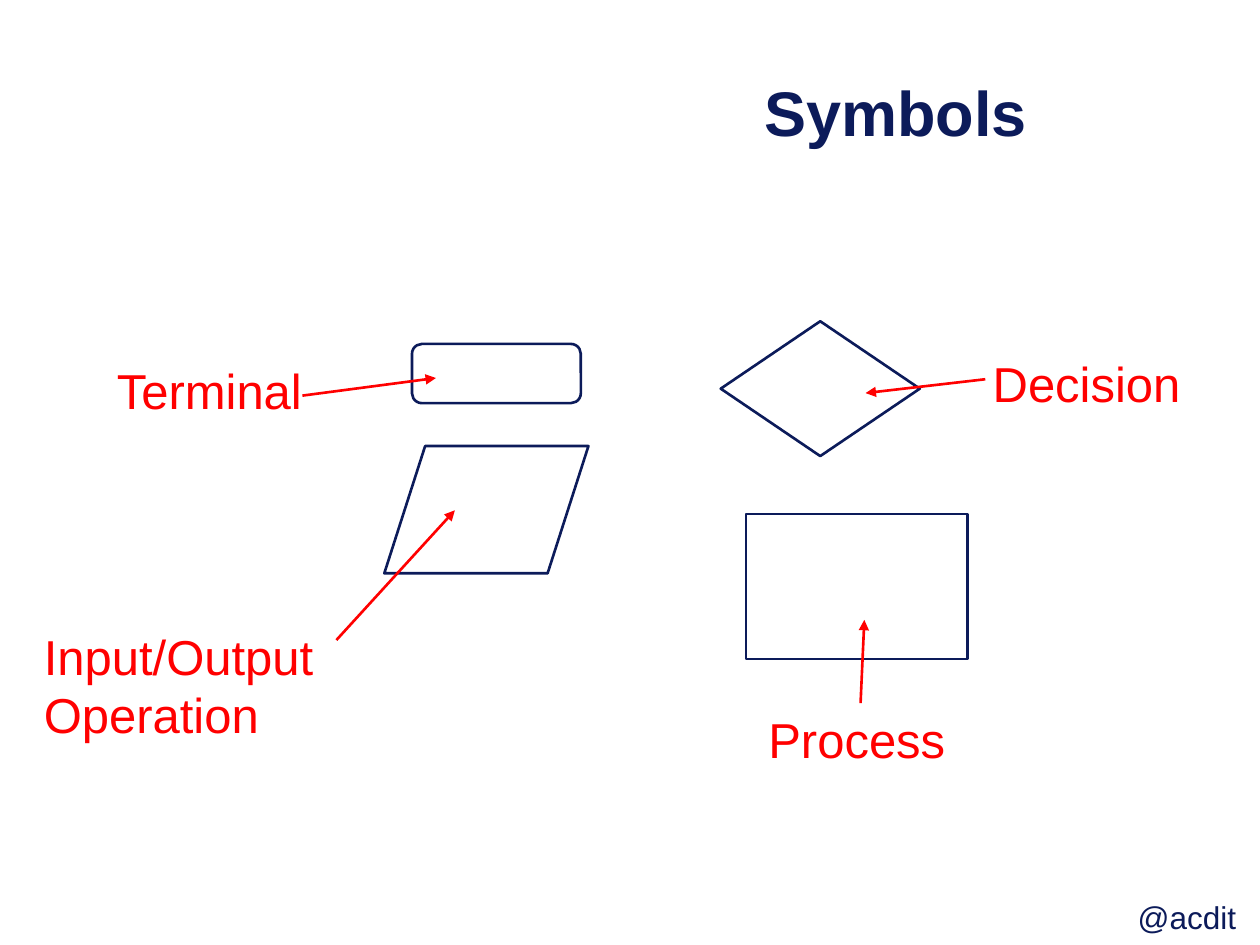
from typing import NamedTuple

from lxml import etree
from pptx import Presentation
from pptx.dml.color import RGBColor
from pptx.enum import shapes, text
from pptx.oxml.ns import qn
from pptx.util import Inches, Pt

COLORS = {"navy": "0C1B5A", "red": "FF0000"}
FONT = "Arial"
LINE_WIDTH = Pt(1.5)

Box = tuple[float, float, float, float]
Point = tuple[float, float]


class Symbol(NamedTuple):
    kind: shapes.MSO_SHAPE
    box: Box
    label: str
    label_box: Box
    arrow_from: Point
    arrow_to: Point


SYMBOLS = [
    Symbol(shapes.MSO_SHAPE.ROUNDED_RECTANGLE, (3.27, 2.73, 1.34, 0.47),
           "Terminal", (0.83, 2.81, 2.14, 0.57), (2.4, 3.14), (3.46, 3)),
    Symbol(shapes.MSO_SHAPE.FLOWCHART_DATA, (3.05, 3.54, 1.62, 1.01),
           "Input/Output Operation", (0.25, 4.92, 2.65, 1.04), (2.67, 5.08), (3.61, 4.05)),
    Symbol(shapes.MSO_SHAPE.RECTANGLE, (5.92, 4.08, 1.76, 1.15),
           "Process", (6, 5.58, 1.82, 0.57), (6.83, 5.58), (6.86, 4.92)),
    Symbol(shapes.MSO_SHAPE.FLOWCHART_DECISION, (5.72, 2.55, 1.58, 1.07),
           "Decision", (7.78, 2.76, 1.79, 0.57), (7.82, 3.01), (6.87, 3.12)),
]


def rgb(name: str) -> RGBColor:
    return RGBColor.from_string(COLORS[name])


def inches(values: tuple[float, ...]) -> list[Inches]:
    return [Inches(v) for v in values]


def add_run(p, words: str, size: float, color: str, bold: bool = False) -> None:
    r = p.add_run()
    r.text = words
    r.font.name = FONT
    r.font.size = Pt(size)
    r.font.bold = bold
    r.font.color.rgb = rgb(color)


def add_label(s, words: str, box: Box, size: float, color: str, wrap: bool = True) -> None:
    tf = s.shapes.add_textbox(*inches(box)).text_frame
    tf.word_wrap = wrap
    tf.auto_size = text.MSO_AUTO_SIZE.SHAPE_TO_FIT_TEXT
    add_run(tf.paragraphs[0], words, size, color)


def add_outline(s, kind: shapes.MSO_SHAPE, box: Box) -> None:
    sp = s.shapes.add_shape(kind, *inches(box))
    sp.shadow.inherit = False
    sp.fill.background()
    sp.line.color.rgb = rgb("navy")
    sp.line.width = LINE_WIDTH


def add_arrow(s, start: Point, end: Point) -> None:
    cxn = s.shapes.add_connector(shapes.MSO_CONNECTOR.STRAIGHT, *inches(start + end))
    cxn.line.color.rgb = rgb("red")
    cxn.line.width = LINE_WIDTH
    etree.SubElement(cxn.line._get_or_add_ln(), qn("a:tailEnd"), type="triangle")
    etree.SubElement(cxn._element.spPr, qn("a:effectLst"))


def add_title(s, words: str, box: Box) -> None:
    title = s.shapes.title
    title.left, title.top, title.width, title.height = inches(box)
    tf = title.text_frame
    tf.vertical_anchor = text.MSO_ANCHOR.MIDDLE
    p = tf.paragraphs[0]
    p.alignment = text.PP_ALIGN.RIGHT
    add_run(p, words, 36, "navy", bold=True)


def main() -> None:
    prs = Presentation()
    prs.slide_width, prs.slide_height = Inches(10), Inches(7.5)
    s = prs.slides.add_slide(prs.slide_layouts[5])

    for symbol in SYMBOLS:
        add_outline(s, symbol.kind, symbol.box)
    for symbol in SYMBOLS:
        add_label(s, symbol.label, symbol.label_box, 28, "red")
        add_arrow(s, symbol.arrow_from, symbol.arrow_to)

    add_title(s, "Symbols", (0, 0.62, 8.25, 0.53))
    add_label(s, "@acdit", (8.93, 7.08, 0.98, 0.4), 18, "navy", wrap=False)
    prs.save("out.pptx")


if __name__ == "__main__":
    main()
